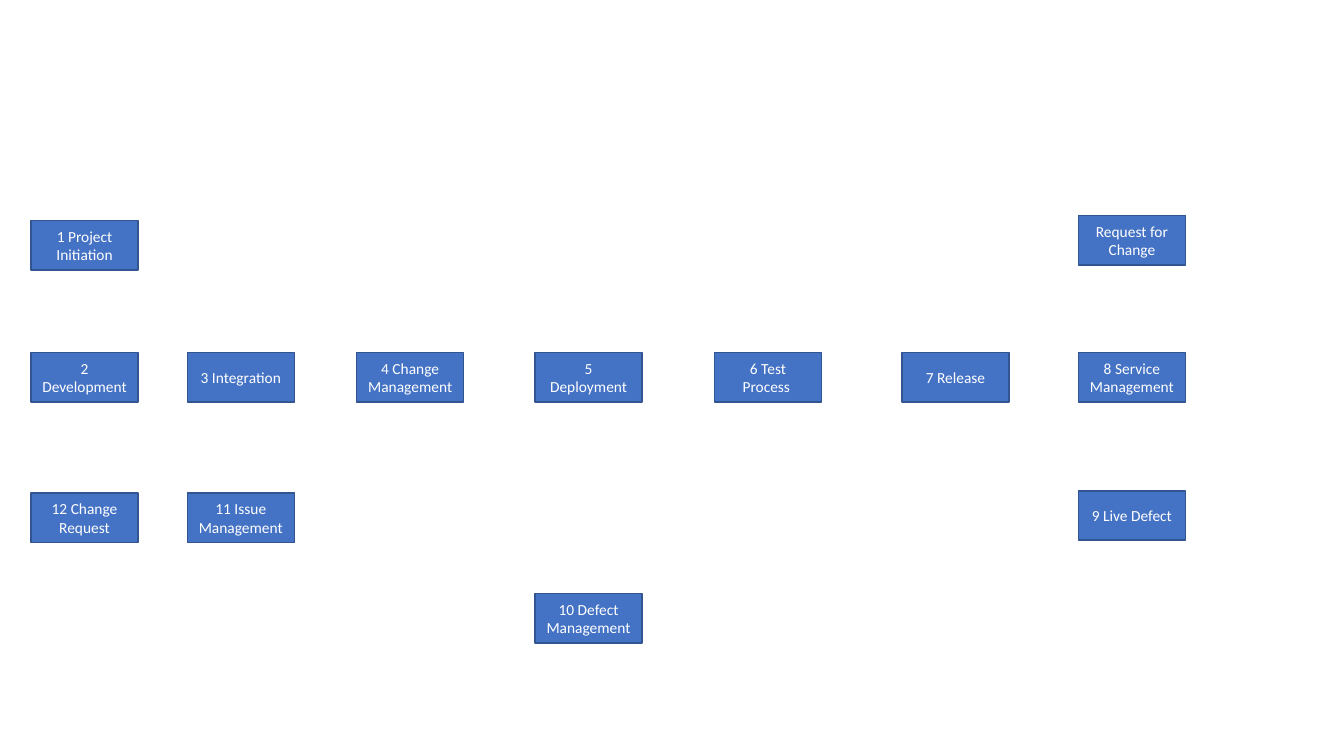
from pptx import Presentation
from pptx.dml.color import RGBColor
from pptx.enum import shapes, text
from pptx.util import Pt

BLUE, EDGE, WHITE = "4472C4", "325491", "FFFFFF"
WIDTH, HEIGHT = 76.3, 35.3
COLS = [22.3, 133.9, 254.9, 382.3, 510.5, 644.4, 770.4]
MAIN_TOP = 252

MAIN_FLOW = [
    "2 Development", "3 Integration", "4 Change Management", "5 Deployment",
    "6 Test Process ", "7 Release", "8 Service Management",
]
# label, column, top
SIDE_STEPS = [
    ("1 Project Initiation", 0, 157.7),
    ("Request for Change", 6, 154.1),
    ("9 Live Defect", 6, 350.6),
    ("10 Defect Management", 3, 424.1),
    ("11 Issue Management", 1, 352.1),
    ("12 Change Request", 0, 352.1),
]


def color(code):
    return RGBColor.from_string(code)


def write(shape, words, size=11, font="Calibri", ink=WHITE,
          align=text.PP_ALIGN.CENTER, anchor=text.MSO_ANCHOR.MIDDLE):
    frame = shape.text_frame
    frame.word_wrap = True
    frame.vertical_anchor = anchor
    para = frame.paragraphs[0]
    para.alignment = align
    run = para.add_run()
    run.text = words
    run.font.size = Pt(size)
    run.font.name = font
    run.font.color.rgb = color(ink)


def add_step(slide, label, col, top):
    box = slide.shapes.add_shape(
        shapes.MSO_SHAPE.RECTANGLE,
        Pt(COLS[col]), Pt(top), Pt(WIDTH), Pt(HEIGHT))
    box.shadow.inherit = False
    box.fill.solid()
    box.fill.fore_color.rgb = color(BLUE)
    box.line.color.rgb = color(EDGE)
    box.line.width = Pt(1)
    write(box, label)


def main():
    deck = Presentation()
    deck.slide_width, deck.slide_height = Pt(960), Pt(540)
    slide = deck.slides.add_slide(deck.slide_layouts.get_by_name("Blank"))
    for col, label in enumerate(MAIN_FLOW):
        add_step(slide, label, col, MAIN_TOP)
    for label, col, top in SIDE_STEPS:
        add_step(slide, label, col, top)
    deck.save("out.pptx")


if __name__ == "__main__":
    main()
